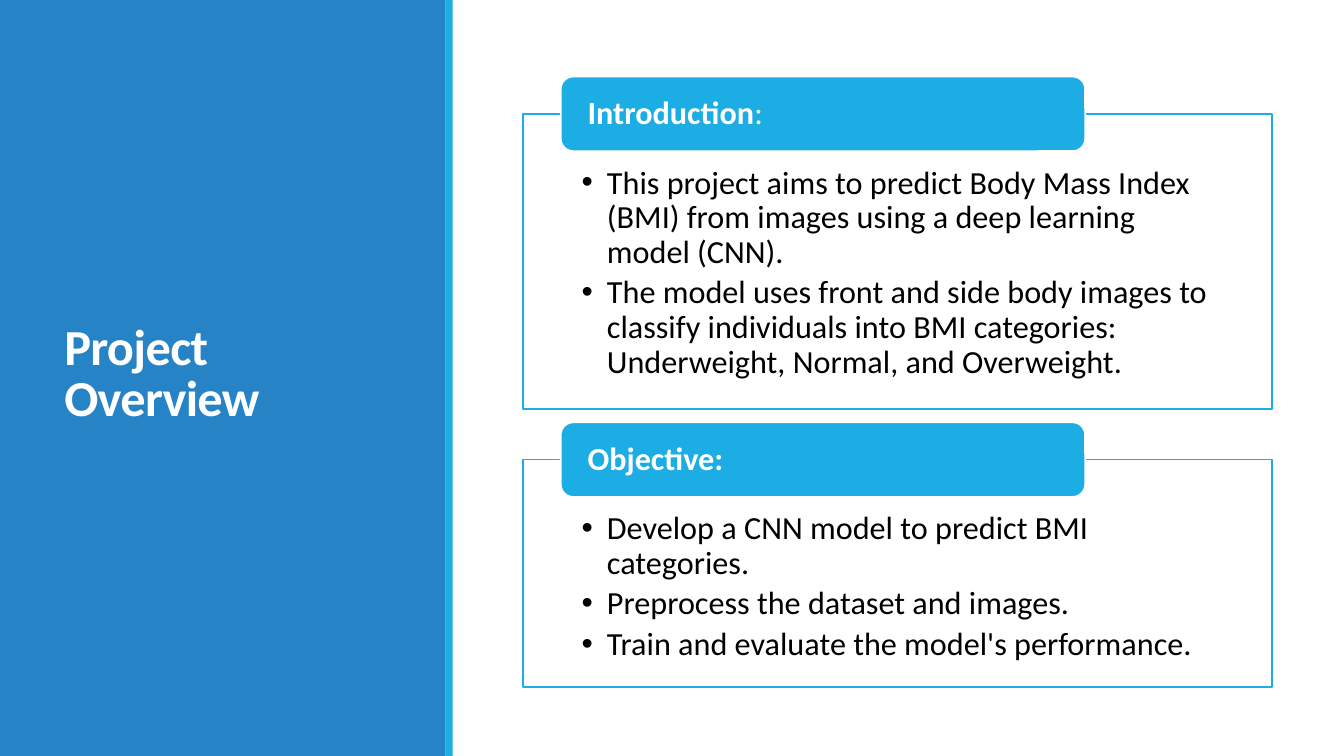
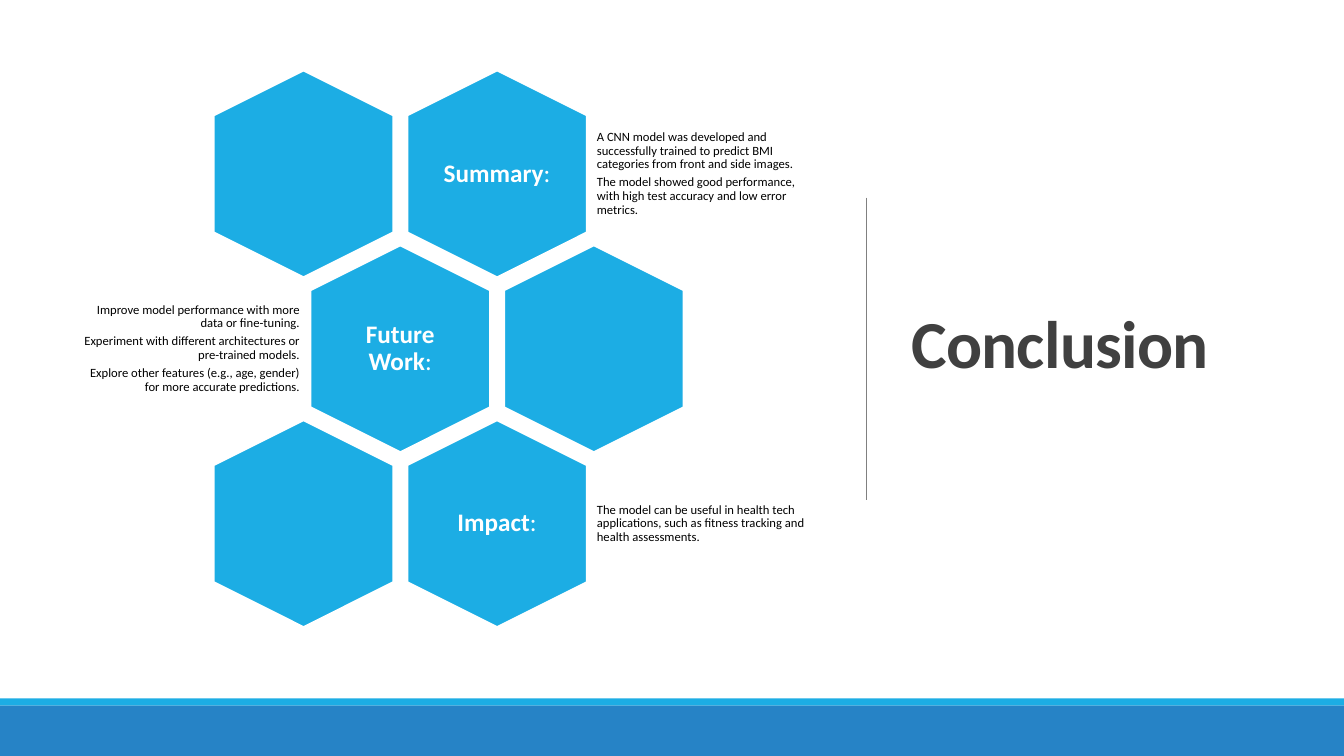
from dataclasses import dataclass

from pptx import Presentation
from pptx.dml.color import RGBColor
from pptx.enum import shapes, text
from pptx.oxml import ns, xmlchemy
from pptx.util import Inches, Pt

SHAPE = shapes.MSO_SHAPE
ALIGN = text.PP_ALIGN
ANCHOR = text.MSO_ANCHOR


@dataclass(frozen=True)
class Theme:
    font: str = "Calibri"
    blue: str = "2683C6"
    cyan: str = "1CADE4"
    white: str = "FFFFFF"
    black: str = "000000"
    charcoal: str = "404040"
    gray: str = "808080"
    side_title: float = 36
    big_title: float = 48
    body: float = 23
    hexagon: float = 18
    note: float = 9
    outline: float = 1.25


THEME = Theme()
WIDTH, HEIGHT = 13.33, 7.5
STRIPE = 0.07


def rgb(color):
    return RGBColor.from_string(color)


def add_sub(parent, tag, **attributes):
    """Append an XML element that python-pptx has no method for."""
    element = xmlchemy.OxmlElement(tag)
    for key, value in attributes.items():
        element.set(key, value)
    parent.append(element)


def add_box(slide, box, fill, line=None, kind=SHAPE.RECTANGLE, rotation=0):
    shape = slide.shapes.add_shape(kind, *map(Inches, box))
    shape.shadow.inherit = False
    shape.fill.solid()
    shape.fill.fore_color.rgb = rgb(fill)
    if line:
        shape.line.color.rgb = rgb(line)
        shape.line.width = Pt(THEME.outline)
    else:
        shape.line.fill.background()
    shape.rotation = rotation
    return shape


def add_text_box(slide, box):
    return slide.shapes.add_textbox(*map(Inches, box))


def write(shape, paragraphs, size, color, bold=False, align=ALIGN.LEFT,
          anchor=ANCHOR.MIDDLE, insets=(0.1, 0.05, 0.1, 0.05),
          line_spacing=0.9, after=0, tracking=None, bullet=False):
    """Fill a shape; a paragraph is a string or a list of (text, bold) runs."""
    frame = shape.text_frame
    frame.word_wrap = True
    frame.vertical_anchor = anchor
    (frame.margin_left, frame.margin_top,
     frame.margin_right, frame.margin_bottom) = map(Inches, insets)
    for index, content in enumerate(paragraphs):
        paragraph = frame.add_paragraph() if index else frame.paragraphs[0]
        paragraph.alignment = align
        paragraph.line_spacing = line_spacing
        paragraph.space_after = Pt(after)
        if bullet:
            properties = paragraph._p.get_or_add_pPr()
            properties.set("marL", str(Inches(0.25)))
            properties.set("indent", str(-Inches(0.25)))
            add_sub(properties, "a:buFont", typeface="Arial")
            add_sub(properties, "a:buChar", char="•")
        runs = [(content, bold)] if isinstance(content, str) else content
        for words, is_bold in runs:
            run = paragraph.add_run()
            run.text = words
            run.font.name = THEME.font
            run.font.size = Pt(size)
            run.font.bold = is_bold
            run.font.color.rgb = rgb(color)
            if tracking:
                run._r.get_or_add_rPr().set("spc", str(int(tracking * 100)))


def add_title(slide, box, words, size, color):
    write(add_text_box(slide, box), [words], size, color, bold=True,
          line_spacing=0.85, tracking=-0.5)


def add_divider(slide, x, top, bottom):
    divider = slide.shapes.add_connector(
        shapes.MSO_CONNECTOR.STRAIGHT, *map(Inches, (x, top, x, bottom)))
    divider.line.color.rgb = rgb(THEME.gray)
    divider.line.width = Pt(0.5)
    add_sub(divider._element.find(ns.qn("p:spPr")), "a:effectLst")


def add_section(slide, box, heading, points):
    """Outlined frame of bullets with a heading tab across its top edge."""
    left, top, width, _ = box
    frame = add_box(slide, box, THEME.white, THEME.cyan)
    write(frame, points, THEME.body, THEME.black, anchor=ANCHOR.TOP,
          insets=(0.58, 0.52, 0.58, 0.18), after=4, bullet=True)
    tab_height = 0.74
    tab = add_box(slide, (left + 0.05 * width, top - tab_height / 2,
                          0.7 * width, tab_height),
                  THEME.cyan, THEME.white, SHAPE.ROUNDED_RECTANGLE)
    write(tab, [heading], THEME.body, THEME.white, bold=True,
          insets=(0.23, 0, 0.23, 0))


def add_honeycomb(slide, left, top, rows):
    """Rows of two hexagons; each row has one label and a note beside it."""
    long, short = 2.05, 1.78
    column_step, row_step = 1.92, 1.735
    label_width, label_height = 1.23, 1.41
    note_width, note_height = 2.25, 1.23
    for row, (label, notes) in enumerate(rows):
        shifted = row % 2
        first_x = left + short / 2 + shifted * column_step / 2
        y = top + long / 2 + row * row_step
        centers = [first_x, first_x + column_step]
        for x in centers:
            add_box(slide, (x - long / 2, y - short / 2, long, short),
                    THEME.cyan, THEME.white, SHAPE.HEXAGON, rotation=90)

        # Label on the hexagon next to the note
        x = centers[0] if shifted else centers[1]
        label_box = add_text_box(slide, (x - label_width / 2, y - label_height / 2,
                                         label_width, label_height))
        write(label_box, [[(label, True), (":", False)]], THEME.hexagon,
              THEME.white, align=ALIGN.CENTER, insets=(0.07,) * 4)

        # Note: left of shifted rows, right of the others
        note_x = x - 0.96 - note_width if shifted else x + 0.95
        note_box = add_text_box(slide, (note_x, y - note_height / 2,
                                        note_width, note_height))
        write(note_box, notes, THEME.note, THEME.black, after=3.2,
              align=ALIGN.RIGHT if shifted else ALIGN.LEFT,
              insets=(0.04,) * 4)


def build_overview(slide):
    # Side panel
    panel_width = 4.42
    add_box(slide, (0, 0, panel_width, HEIGHT), THEME.blue)
    add_box(slide, (panel_width, 0, STRIPE, HEIGHT), THEME.cyan)
    add_title(slide, (0.54, 0.57, 3.37, 6.31), "Project Overview",
              THEME.side_title, THEME.white)

    # Sections
    left, width = 5.19, 7.43
    add_section(slide, (left, 1.13, width, 2.93),
                [("Introduction", True), (":", False)], [
        "This project aims to predict Body Mass Index (BMI) from images "
        "using a deep learning model (CNN).",
        "The model uses front and side body images to classify individuals "
        "into BMI categories: Underweight, Normal, and Overweight.",
    ])
    add_section(slide, (left, 4.56, width, 2.26), "Objective:", [
        "Develop a CNN model to predict BMI categories.",
        "Preprocess the dataset and images.",
        "Train and evaluate the model's performance.",
    ])


def build_conclusion(slide):
    # Footer bands
    footer_top = 7
    add_box(slide, (0, footer_top - STRIPE, WIDTH, STRIPE), THEME.cyan)
    add_box(slide, (0, footer_top, WIDTH, HEIGHT - footer_top), THEME.blue)

    # Title and divider
    add_title(slide, (8.94, 0.69, 3.69, 5.53), "Conclusion",
              THEME.big_title, THEME.charcoal)
    add_divider(slide, 8.59, 1.96, 4.96)

    # Findings
    add_honeycomb(slide, 2.12, 0.7, [
        ("Summary", [
            "A CNN model was developed and successfully trained to predict "
            "BMI categories from front and side images.",
            "The model showed good performance, with high test accuracy and "
            "low error metrics.",
        ]),
        ("Future Work", [
            "Improve model performance with more data or fine-tuning.",
            "Experiment with different architectures or pre-trained models.",
            "Explore other features (e.g., age, gender) for more accurate "
            "predictions.",
        ]),
        ("Impact", [
            "The model can be useful in health tech applications, such as "
            "fitness tracking and health assessments.",
        ]),
    ])


def main():
    deck = Presentation()
    deck.slide_width, deck.slide_height = Inches(WIDTH), Inches(HEIGHT)
    blank = deck.slide_layouts[6]
    for build in (build_overview, build_conclusion):
        build(deck.slides.add_slide(blank))
    deck.save("out.pptx")


if __name__ == "__main__":
    main()
